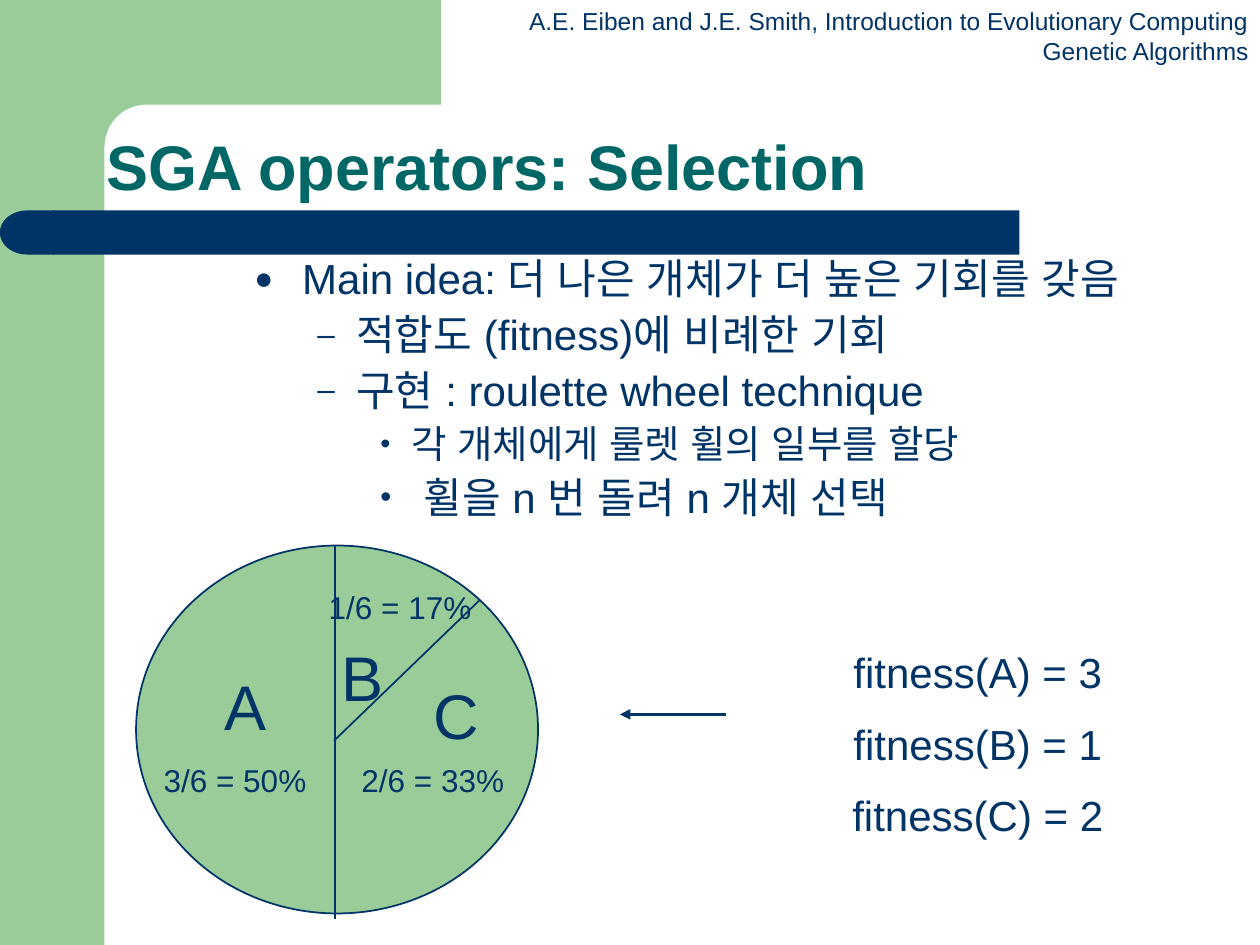
import dataclasses

import lxml.etree
import pptx
import pptx.dml.color
import pptx.enum.shapes
import pptx.enum.text
import pptx.oxml.ns
import pptx.util

Inches = pptx.util.Inches
Pt = pptx.util.Pt
RGBColor = pptx.dml.color.RGBColor
Kind = pptx.enum.shapes.MSO_SHAPE
Align = pptx.enum.text.PP_ALIGN
Anchor = pptx.enum.text.MSO_ANCHOR

GREEN = RGBColor(0x99, 0xCC, 0x99)
NAVY = RGBColor(0x00, 0x33, 0x66)
TEAL = RGBColor(0x00, 0x66, 0x66)
WHITE = RGBColor(0xFF, 0xFF, 0xFF)
FONT = "Arial"


@dataclasses.dataclass
class Block:
    kind: Kind
    box: tuple[float, float, float, float]
    fill: RGBColor
    round: float | None = None
    edge: RGBColor | None = None


@dataclasses.dataclass
class Label:
    text: str
    box: tuple[float, float, float, float]
    size: float
    align: Align = Align.CENTER
    color: RGBColor = NAVY
    bold: bool = False
    wrap: bool = False
    anchor: Anchor = Anchor.TOP


@dataclasses.dataclass
class Line:
    start: tuple[float, float]
    end: tuple[float, float]
    width: float
    arrow: bool = False


@dataclasses.dataclass
class Point:
    text: str
    level: int
    size: float = 24
    before: float = 6


BACK = [
    Block(Kind.RECTANGLE, (0, 0, 0.83, 7.5), GREEN),
    Block(Kind.RECTANGLE, (0.75, 0, 2.75, 1.17), GREEN),
    Block(Kind.ROUNDED_RECTANGLE, (0.83, 0.83, 5.58, 0.67), WHITE, 0.5),
    Block(Kind.ROUNDED_RECTANGLE, (0.42, 1.67, 7.67, 0.35), NAVY, 0),
]
CAP = Block(Kind.FLOWCHART_DELAY, (0, 1.67, 0.43, 0.35), NAVY)
WHEEL = Block(Kind.OVAL, (1.08, 4.33, 3.19, 2.92), GREEN, edge=NAVY)

HEAD = Label(
    "A.E. Eiben and J.E. Smith, Introduction to Evolutionary Computing\n"
    "Genetic Algorithms",
    (4.1, 0, 5.91, 0.57), 14, Align.RIGHT,
)
TITLE = Label(
    "SGA operators: Selection", (0.75, 0.92, 7.83, 0.75), 36,
    Align.LEFT, TEAL, True, True, Anchor.BOTTOM,
)
SCORES = [
    Label(f"fitness({name}) = {score}", (6.65, 5.08 + 0.57 * row, 2.22, 0.5), 24)
    for row, (name, score) in enumerate([("A", 3), ("B", 1), ("C", 2)])
]
PARTS = [
    Label("A", (1.68, 5.25, 0.53, 0.7), 36),
    Label("B", (2.61, 5.02, 0.53, 0.7), 36),
    Label("C", (3.34, 5.32, 0.56, 0.7), 36),
    Label("3/6 = 50%", (1.2, 5.99, 1.33, 0.4), 18),
    Label("1/6 = 17%", (2.51, 4.62, 1.33, 0.4), 18),
    Label("2/6 = 33%", (2.77, 5.99, 1.33, 0.4), 18),
]
LINES = [
    Line((5.76, 5.67), (4.92, 5.67), 2, True),
    Line((2.65, 5.88), (3.81, 4.76), 1),
    Line((2.66, 4.33), (2.66, 7.29), 0.75),
]
BODY = (1.92, 2, 8.08, 3)
POINTS = [
    Point("Main idea: 더 나은 개체가 더 높은 기회를 갖음", 0),
    Point("적합도 (fitness)에 비례한 기회", 1),
    Point("구현 : roulette wheel technique", 1),
    Point("각 개체에게 룰렛 휠의 일부를 할당", 2, 22, 5.5),
    Point(" 휠을 n 번 돌려 n 개체 선택", 2),
]
MARKS = [("●", 0.38, 0.38), ("–", 0.81, 0.31), ("•", 1.25, 0.25)]


def add(node, tag: str, **attrs: str):
    return lxml.etree.SubElement(node, pptx.oxml.ns.qn(tag), attrs)


def place(box: tuple) -> list:
    return [Inches(size) for size in box]


def style(para, size: float, color: RGBColor = NAVY, bold: bool = False) -> None:
    for run in para.runs:
        font = run.font
        font.name = FONT
        font.size = Pt(size)
        font.bold = bold
        font.color.rgb = color
        add(run._r.get_or_add_rPr(), "a:ea", typeface=FONT)


def draw(slide, block: Block):
    shape = slide.shapes.add_shape(block.kind, *place(block.box))
    shape.shadow.inherit = False
    shape.fill.solid()
    shape.fill.fore_color.rgb = block.fill
    if block.round is not None:
        shape.adjustments[0] = block.round
    if block.edge is None:
        shape.line.fill.background()
    else:
        shape.line.color.rgb = block.edge
        shape.line.width = Pt(1)
    return shape


def write(slide, label: Label):
    frame = slide.shapes.add_textbox(*place(label.box)).text_frame
    frame.text = label.text
    frame.word_wrap = label.wrap
    frame.vertical_anchor = label.anchor
    for para in frame.paragraphs:
        para.alignment = label.align
        style(para, label.size, label.color, label.bold)
    return frame


def link(slide, line: Line) -> None:
    shape = slide.shapes.add_connector(
        pptx.enum.shapes.MSO_CONNECTOR.STRAIGHT, *place(line.start + line.end)
    )
    shape.line.color.rgb = NAVY
    shape.line.width = Pt(line.width)
    if line.arrow:
        add(shape.line._get_or_add_ln(), "a:tailEnd", type="triangle")
    add(shape._element.spPr, "a:effectLst")


def bullet(para, level: int) -> None:
    mark, left, hang = MARKS[level]
    props = para._p.get_or_add_pPr()
    props.set("marL", str(Inches(left)))
    props.set("indent", str(-Inches(hang)))
    add(add(props, "a:buClr"), "a:srgbClr", val=str(NAVY))
    add(props, "a:buSzPct", val="75000")
    add(props, "a:buFont", typeface=FONT)
    add(props, "a:buChar", char=mark)


def outline(slide) -> None:
    frame = slide.shapes.add_textbox(*place(BODY)).text_frame
    frame.word_wrap = True
    frame.text = "\n".join(point.text for point in POINTS)
    for para, point in zip(frame.paragraphs, POINTS):
        para.level = point.level
        para.line_spacing = 0.9
        para.space_before = Pt(point.before)
        bullet(para, point.level)
        style(para, point.size)


def main() -> None:
    deck = pptx.Presentation()
    deck.slide_width = Inches(10)
    deck.slide_height = Inches(7.5)
    slide = deck.slides.add_slide(deck.slide_layouts[6])
    for block in BACK:
        draw(slide, block)
    draw(slide, CAP)._element.spPr.xfrm.set("flipH", "1")
    write(slide, HEAD)
    outline(slide)
    write(slide, TITLE).paragraphs[0].line_spacing = 0.9
    draw(slide, WHEEL)
    for label in SCORES + PARTS:
        write(slide, label)
    for line in LINES:
        link(slide, line)
    deck.save("out.pptx")


if __name__ == "__main__":
    main()
